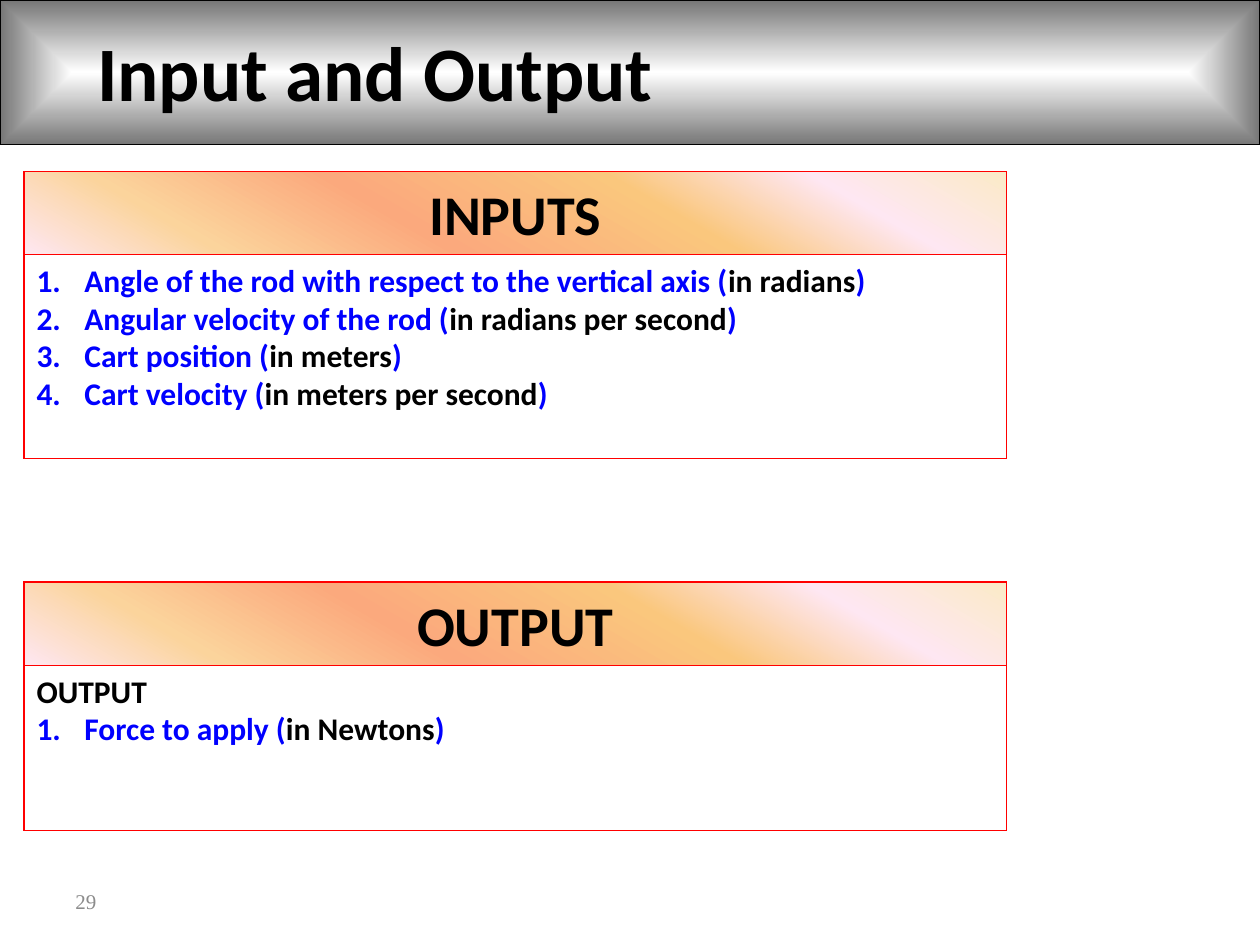
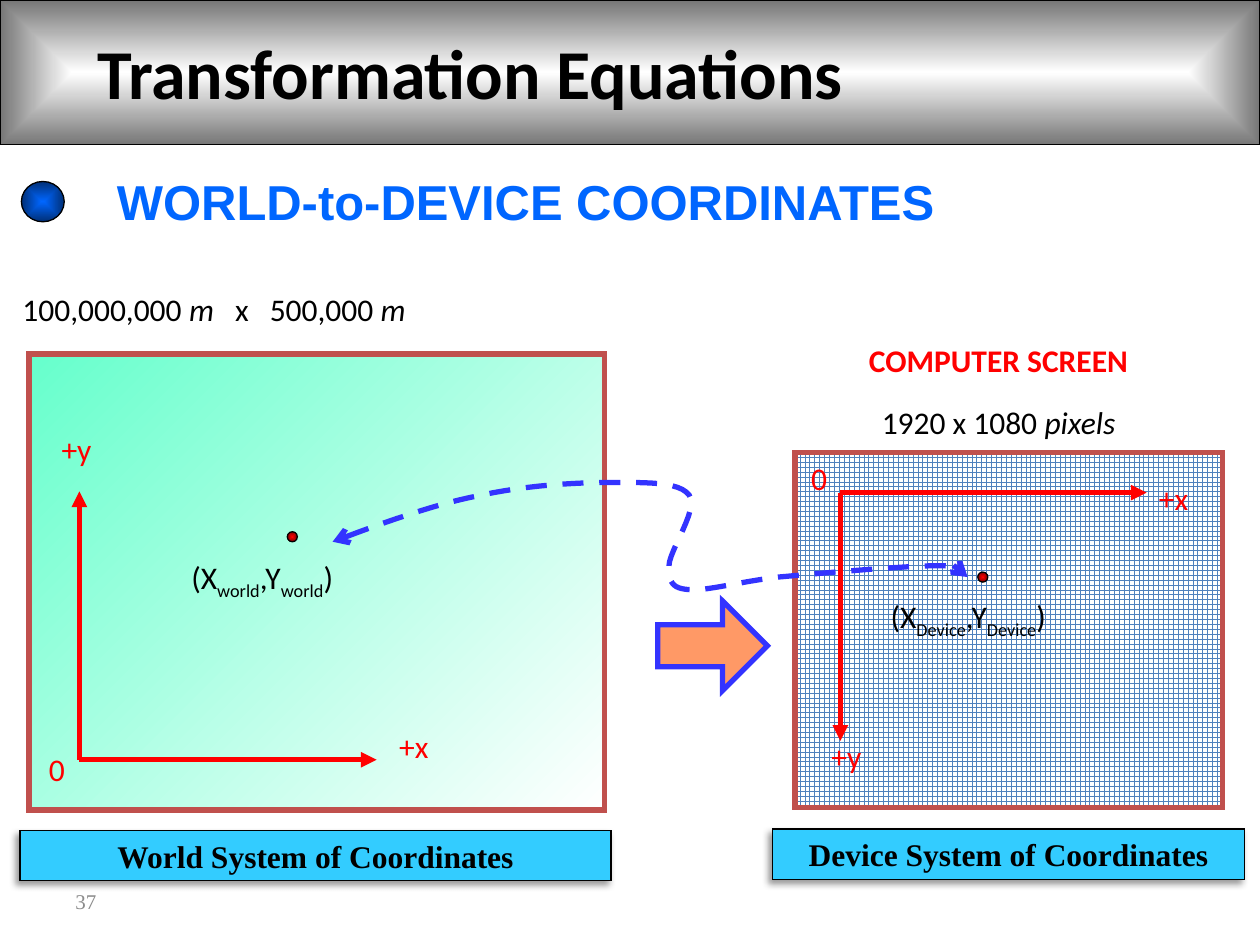
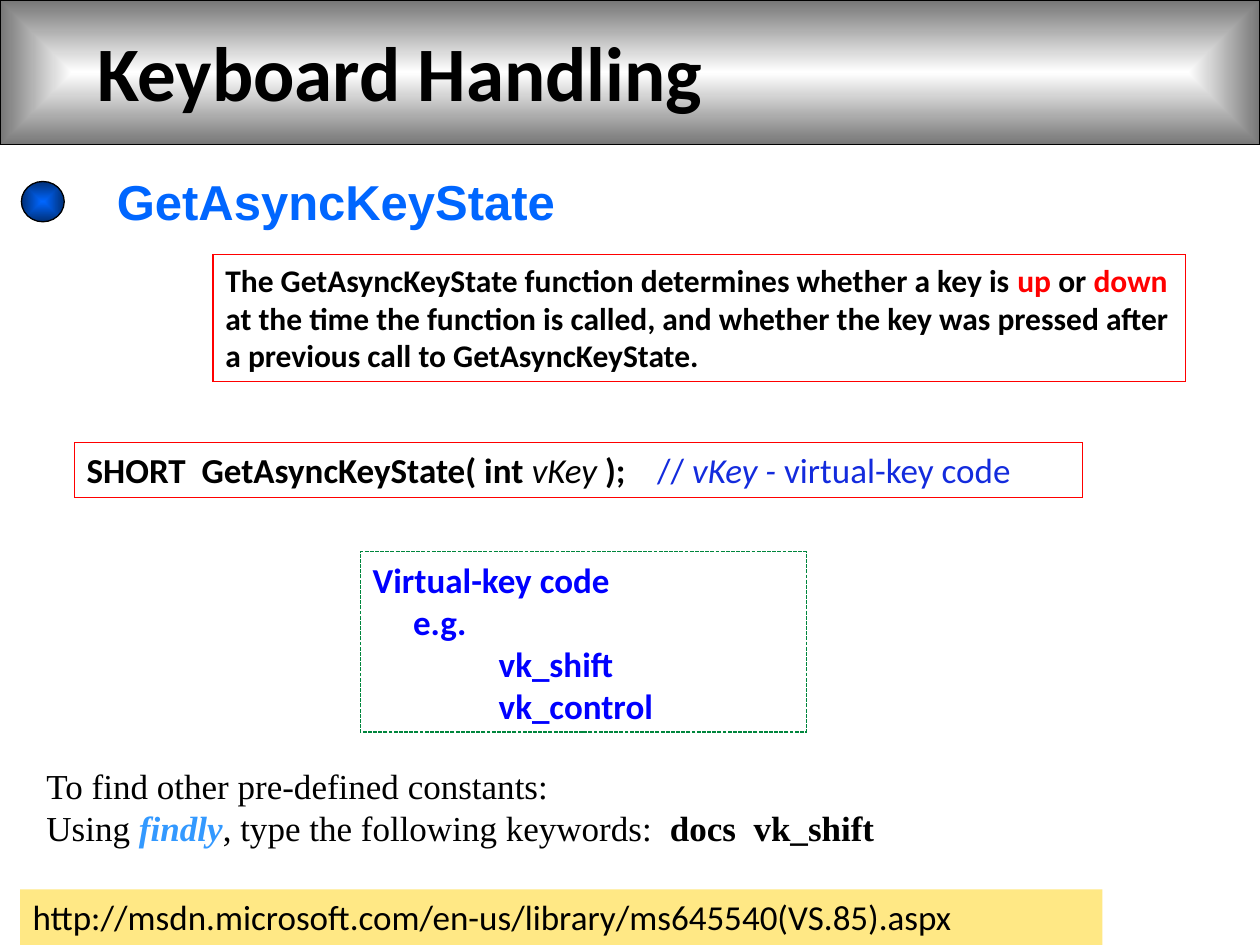
from dataclasses import dataclass
from lxml.etree import SubElement
from pptx import Presentation
from pptx.dml.color import RGBColor
from pptx.enum.dml import MSO_LINE, MSO_PATTERN
from pptx.enum.shapes import MSO_CONNECTOR, MSO_SHAPE
from pptx.enum.text import MSO_ANCHOR, MSO_AUTO_SIZE, PP_ALIGN
from pptx.oxml.ns import qn
from pptx.util import Inches, Pt


class Theme:
    W, H = 10, 7.5
    BLACK, RED, BLUE, GREY = "000000", "FF0000", "0000FF", "8C8C8C"
    TOPIC, COMMENT, LINK = "0066FF", "132BDD", "3399FF"
    FRAME, GRID, ROUTE, ARROW = "C0504D", "4F81BD", "3333FF", "FF9966"
    NOTE, CAPTION, GREEN = "FFE885", "33CCFF", "00863D"
    BAND = [(0, "FFFFFF"), (100, "767676")]
    BALL = [(0, "0066FF"), (100, "002F76")]
    DOT = [(0, "FF0000"), (100, "760000")]
    WORLD = [(0, "66FFCC"), (100, "FFFFFF")]
    SUNSET = [(0, "FBEAC7"), (18, "FEE7F2"), (36, "FAC77D"),
              (61, "FBA97D"), (82, "FBD49C"), (100, "FEE7F2")]
    BODY, SERIF, SANS = "Calibri", "Times New Roman", "Arial"
    SMALL, TEXT, CODE, TOPIC_SIZE, HEADING, TITLE = 12, 18, 20, 28, 32, 44
    THIN, THICK = 0.75, 3


T = Theme


@dataclass
class Para:
    """Runs are (text, colour, flags, extra letter spacing in points).

    Flags: b bold, i italic, s subscript. The spacing may be left out.
    """
    runs: list
    indent: float = 0
    numbered: bool = False


def plain(text, colour=T.BLACK, flags=""):
    return [Para([(text, colour, flags)])]


def gap(points):
    return (" ", T.BLACK, "", points)


def quantity(name, unit):
    return Para([(f"{name} (", T.BLUE, "b"), (unit, T.BLACK, "b"),
                 (")", T.BLUE, "b")], 0.38, True)


def point_name(system):
    return [Para([("(X", T.BLACK, ""), (system, T.BLACK, "s"), (",Y", T.BLACK, ""),
                  (system, T.BLACK, "s"), (")", T.BLACK, "")])]


# ---- Content ----
PANELS = [  # heading, top, body height, paragraphs
    ("INPUTS", 1.36, 1.62, [
        quantity("Angle of the rod with respect to the vertical axis", "in radians"),
        quantity("Angular velocity of the rod", "in radians per second"),
        quantity("Cart position", "in meters"),
        quantity("Cart velocity", "in meters per second")]),
    ("OUTPUT", 4.62, 1.31, [
        *plain("OUTPUT", T.BLACK, "b"),
        quantity("Force to apply", "in Newtons")]),
]

WORLD_SIZE = [Para([("100,000,000 ", T.BLACK, ""), ("m", T.BLACK, "i"), gap(8),
                    ("x", T.BLACK, ""), gap(8), ("500,000 ", T.BLACK, ""),
                    ("m", T.BLACK, "i")])]
SCREEN_SIZE = [Para([("1920 x 1080 ", T.BLACK, ""), ("pixels", T.BLACK, "i")])]
DIAGRAM_LABELS = [  # position, paragraphs
    ((0.08, 2.25, 3.38, 0.4), WORLD_SIZE),
    ((6.9, 3.15, 2.29, 0.4), SCREEN_SIZE),
    ((1.42, 4.38, 2.03, 0.5), point_name("world")),
    ((6.97, 4.69, 2.34, 0.51), point_name("Device")),
]
AXIS_LABELS = [("+x", 3.07, 5.72), ("+y", 0.39, 3.36), ("0", 0.29, 5.9),
               ("+x", 9.1, 3.75), ("+y", 6.5, 5.8), ("0", 6.34, 3.59)]
AXES = [  # origin, end of x, end of y
    ((0.63, 6.03), 2.99, 3.9),
    ((6.67, 3.91), 9.1, 5.88),
]
CAPTIONS = [("World System of Coordinates", (0.16, 6.59, 4.69, 0.4)),
            ("Device System of Coordinates", (6.13, 6.58, 3.75, 0.4))]
DOTS = [(2.28, 4.22), (7.76, 4.54)]
ROUTE_START = (2.64, 4.3)
ROUTE = [  # two control points and an end for each curve
    ((3.04, 4.15), (3.45, 4), (3.82, 3.93)),
    ((4.19, 3.85), (4.57, 3.83), (4.84, 3.83)),
    ((5.12, 3.83), (5.39, 3.82), (5.47, 3.93)),
    ((5.55, 4.04), (5.31, 4.37), (5.31, 4.49)),
    ((5.31, 4.62), (5.33, 4.67), (5.47, 4.68)),
    ((5.62, 4.69), (5.85, 4.62), (6.18, 4.58)),
    ((6.51, 4.55), (7.19, 4.49), (7.44, 4.49)),
    ((7.69, 4.49), (7.68, 4.54), (7.68, 4.58)),
]

PURPOSE = [Para([
    ("The GetAsyncKeyState function determines whether a key is ", T.BLACK, "b"),
    ("up ", T.RED, "b"), ("or ", T.BLACK, "b"), ("down", T.RED, "b"),
    (" at the time the function is called, and whether the key was pressed "
     "after a previous call to GetAsyncKeyState.", T.BLACK, "b")])]
SIGNATURE = [Para([
    ("SHORT  GetAsyncKeyState( int ", T.BLACK, "b"), ("vKey ", T.BLACK, "i"),
    (");", T.BLACK, "b"), gap(13.5), ("// ", T.COMMENT, ""),
    ("vKey -", T.COMMENT, "i"), (" virtual-key code", T.COMMENT, "")])]
KEY_CODES = [Para([(text, T.BLUE, "b")], indent) for text, indent in
             [("Virtual-key code", 0), ("e.g.", 0.32),
              ("vk_shift", 1), ("vk_control", 1)]]
SEARCH_TIP = [
    *plain("To find other pre-defined constants:"),
    Para([("Using ", T.BLACK, ""), ("findly", T.LINK, "bi"),
          (", type the following keywords:  ", T.BLACK, ""),
          ("docs  vk_shift", T.BLACK, "b")])]
ADDRESS = plain("http://msdn.microsoft.com/en-us/library/ms645540(VS.85).aspx")


# ---- Drawing helpers ----
def rgb(colour):
    return RGBColor.from_string(colour)


def inches(values):
    return [Inches(v) for v in values]


def write(tf, paras, size=T.TEXT, font=T.BODY, align=PP_ALIGN.LEFT,
          anchor=MSO_ANCHOR.TOP):
    tf.word_wrap = True
    tf.auto_size = MSO_AUTO_SIZE.NONE
    tf.vertical_anchor = anchor
    for n, para in enumerate(paras):
        p = tf.add_paragraph() if n else tf.paragraphs[0]
        p.alignment = align
        p.space_before = Pt(0)
        pPr = p._p.get_or_add_pPr()
        pPr.set("marL", str(Inches(para.indent)))
        pPr.set("indent", str(-Inches(para.indent) if para.numbered else 0))
        if para.numbered:
            SubElement(pPr, qn("a:buFont"), typeface="+mj-lt")
            SubElement(pPr, qn("a:buAutoNum"), type="arabicPeriod")
        else:
            SubElement(pPr, qn("a:buNone"))
        for text, colour, flags, *spacing in para.runs:
            r = p.add_run()
            r.text = text
            r.font.name, r.font.size = font, Pt(size)
            r.font.color.rgb = rgb(colour)
            r.font.bold, r.font.italic = "b" in flags, "i" in flags
            rPr = r._r.get_or_add_rPr()
            if "s" in flags:
                rPr.set("baseline", "-25000")
            if spacing:
                rPr.set("spc", str(int(spacing[0] * 100)))


def outline(sp, colour, width=T.THIN, dash=None):
    sp.line.color.rgb = rgb(colour)
    sp.line.width = Pt(width)
    if dash:
        sp.line.dash_style = dash
    SubElement(sp.line._get_or_add_ln(), qn("a:miter"), lim="800000")


def gradient(sp, stops, angle=None):
    """Linear at the given angle, or from the centre outwards without one."""
    sp.fill.gradient()
    grad = sp._element.spPr.find(qn("a:gradFill"))
    for child in list(grad):
        grad.remove(child)
    gs_list = SubElement(grad, qn("a:gsLst"))
    for share, colour in stops:
        gs = SubElement(gs_list, qn("a:gs"), pos=str(share * 1000))
        SubElement(gs, qn("a:srgbClr"), val=colour)
    if angle is None:
        centre = SubElement(grad, qn("a:path"), path="shape")
        SubElement(centre, qn("a:fillToRect"),
                   dict.fromkeys("ltrb", "50000"))
    else:
        SubElement(grad, qn("a:lin"), ang=str(angle * 60000), scaled="0")


def shape(s, at, fill=None, line=None, width=T.THIN, dash=None,
          kind=MSO_SHAPE.RECTANGLE, angle=None):
    sp = s.shapes.add_shape(kind, *inches(at))
    sp.shadow.inherit = False
    if isinstance(fill, list):
        gradient(sp, fill, angle)
    elif fill:
        sp.fill.solid()
        sp.fill.fore_color.rgb = rgb(fill)
    else:
        sp.fill.background()
    if line:
        outline(sp, line, width, dash)
    else:
        sp.line.fill.background()
    return sp


def label(s, at, paras, **style):
    write(s.shapes.add_textbox(*inches(at)).text_frame, paras, **style)


def arrowheads(sp, **ends):
    ln = sp.line._get_or_add_ln()
    for end in ("headEnd", "tailEnd"):
        if end in ends:
            SubElement(ln, qn(f"a:{end}"), type=ends[end])


def axis(s, start, end):
    c = s.shapes.add_connector(MSO_CONNECTOR.STRAIGHT, *inches(start + end))
    outline(c, T.RED, T.THICK)
    arrowheads(c, tailEnd="triangle")
    SubElement(c._element.spPr, qn("a:effectLst"))


def bezier(p0, p1, p2, p3, t):
    u = 1 - t
    return tuple(u**3 * a + 3 * u * u * t * b + 3 * u * t * t * c + t**3 * d
                 for a, b, c, d in zip(p0, p1, p2, p3))


def route(s, steps=12):
    points, start = [], ROUTE_START
    for curve in ROUTE:
        points += [bezier(start, *curve, n / steps) for n in range(1, steps + 1)]
        start = curve[-1]
    builder = s.shapes.build_freeform(*inches(ROUTE_START))
    builder.add_line_segments([inches(pt) for pt in points], close=False)
    sp = builder.convert_to_shape()
    sp.shadow.inherit = False
    sp.fill.background()
    outline(sp, T.ROUTE, T.THICK, MSO_LINE.DASH)
    arrowheads(sp, headEnd="arrow", tailEnd="arrow")


def place(sp, at):
    sp.left, sp.top, sp.width, sp.height = inches(at)


# ---- Parts shared by the slides ----
def new_slide(prs, title, layout="Title Only", size=T.TITLE, number=None):
    s = prs.slides.add_slide(prs.slide_layouts.get_by_name(layout))
    band = shape(s, (0, 0, T.W, 1.15), T.BAND, T.BLACK)
    s.shapes._spTree.insert(2, band._element)
    place(s.shapes.title, (0.67, 0, 7.16, 1.13))
    write(s.shapes.title.text_frame, plain(title, T.BLACK, "b"), size,
          anchor=MSO_ANCHOR.MIDDLE)
    if number:
        label(s, (0.5, 6.95, 2.33, 0.4), plain(number, T.GREY), size=T.SMALL,
              font=T.SERIF, anchor=MSO_ANCHOR.MIDDLE)
    return s


def topic(s, text):
    shape(s, (0.17, 1.44, 0.34, 0.32), T.BALL, T.BLACK, kind=MSO_SHAPE.OVAL)
    label(s, (0.83, 1.31, 7.4, 0.57), plain(text, T.TOPIC, "b"),
          size=T.TOPIC_SIZE, font=T.SANS)


# ---- Slides ----
def input_output(prs):
    s = new_slide(prs, "Input and Output", "Two Content", number="29")
    left, width, head = 0.19, 7.8, 0.66
    for n, (heading, top, height, paras) in enumerate(PANELS, 1):
        body = s.placeholders[n]
        place(body, (left, top + head, width, height))
        outline(body, T.RED)
        write(body.text_frame, paras)
        sp = shape(s, (left, top, width, head), T.SUNSET, T.RED, angle=120)
        write(sp.text_frame, plain(heading, T.BLACK, "b"), T.HEADING,
              align=PP_ALIGN.CENTER, anchor=MSO_ANCHOR.MIDDLE)


def transformation(prs):
    s = new_slide(prs, "Transformation Equations", size=40, number="37")
    topic(s, "WORLD-to-DEVICE COORDINATES")

    # The two coordinate systems
    screen = shape(s, (6.31, 3.59, 3.39, 2.82), T.GRID, T.FRAME, T.THICK)
    screen.fill.patterned()
    screen.fill.pattern = MSO_PATTERN.LARGE_GRID
    screen.fill.fore_color.rgb = rgb(T.GRID)
    screen.fill.back_color.rgb = rgb("FFFFFF")
    shape(s, (0.23, 2.81, 4.57, 3.62), T.WORLD, T.FRAME, T.THICK, angle=45)
    arrow = shape(s, (5.22, 4.77, 0.87, 0.71), T.ARROW, T.ROUTE, T.THICK,
                  kind=MSO_SHAPE.RIGHT_ARROW)
    arrow.adjustments[0], arrow.adjustments[1] = 0.47, 0.5

    # Captions with a soft shadow
    for text, at in CAPTIONS:
        sp = shape(s, at, T.CAPTION, T.BLACK)
        write(sp.text_frame, plain(text, T.BLACK, "b"), font=T.SERIF,
              align=PP_ALIGN.CENTER)
        effects = sp._element.spPr.find(qn("a:effectLst"))
        shadow = SubElement(effects, qn("a:outerShdw"), blurRad=str(Pt(4)),
                            dist=str(Pt(3)), dir=str(135 * 60000))
        colour = SubElement(shadow, qn("a:srgbClr"), val=T.BLACK)
        SubElement(colour, qn("a:alpha"), val="40000")

    # Axes, points and labels
    for (x, y), x_end, y_end in AXES:
        axis(s, (x, y), (x_end, y))
        axis(s, (x, y), (x, y_end))
    for text, x, y in AXIS_LABELS:
        label(s, (x, y, 0.57, 0.51), plain(text, T.RED))
    for x, y in DOTS:
        shape(s, (x, y, 0.08, 0.08), T.DOT, T.BLACK, kind=MSO_SHAPE.OVAL)
    for at, paras in DIAGRAM_LABELS:
        label(s, at, paras)
    route(s)
    label(s, (6.66, 2.66, 2.53, 0.4), plain("COMPUTER SCREEN", T.RED, "b"),
          align=PP_ALIGN.CENTER)


def keyboard(prs):
    s = new_slide(prs, "Keyboard Handling")
    topic(s, "GetAsyncKeyState")
    purpose = shape(s, (1.69, 2.02, 7.72, 1.01), line=T.RED)
    write(purpose.text_frame, PURPOSE)
    signature = shape(s, (0.59, 3.51, 8, 0.44), line=T.RED)
    write(signature.text_frame, SIGNATURE, T.CODE, anchor=MSO_ANCHOR.MIDDLE)
    codes = shape(s, (2.86, 4.38, 3.54, 1.43), line=T.GREEN,
                  dash=MSO_LINE.SQUARE_DOT)
    write(codes.text_frame, KEY_CODES, T.CODE)
    label(s, (0.27, 6.02, 9.18, 0.77), SEARCH_TIP, size=T.CODE, font=T.SERIF)
    address = shape(s, (0.16, 7.06, 8.59, 0.44), T.NOTE)
    write(address.text_frame, ADDRESS, T.CODE)


def main():
    prs = Presentation()
    prs.slide_width, prs.slide_height = Inches(T.W), Inches(T.H)
    for build in (input_output, transformation, keyboard):
        build(prs)
    prs.save("out.pptx")


if __name__ == "__main__":
    main()
